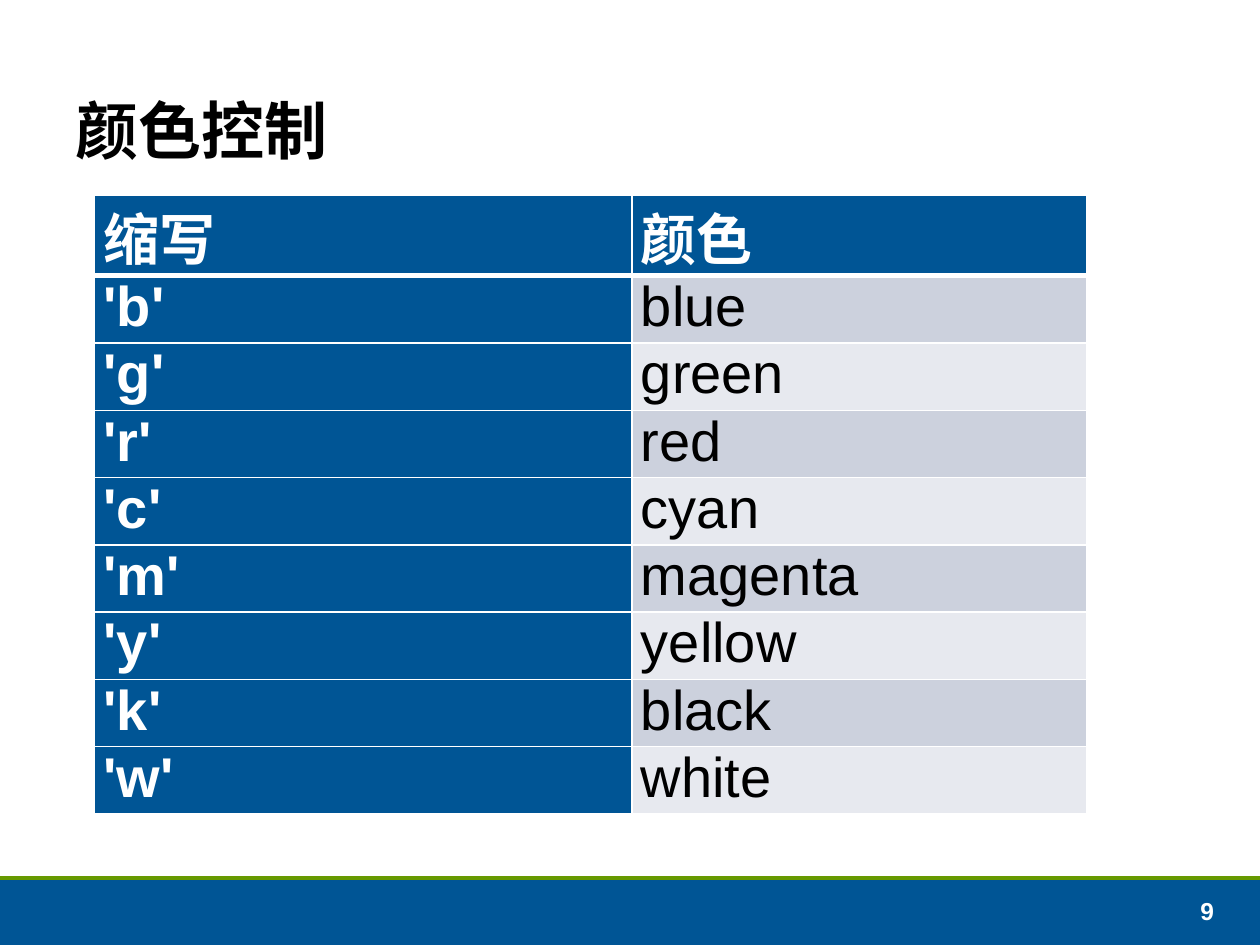
import dataclasses

import lxml.etree
import pptx
import pptx.dml.color
import pptx.enum.shapes
import pptx.enum.text
import pptx.oxml.ns
import pptx.util

Cm = pptx.util.Cm
Pt = pptx.util.Pt
qn = pptx.oxml.ns.qn

COLOR_CODES = [
    ("'b'", "blue"), ("'g'", "green"), ("'r'", "red"), ("'c'", "cyan"),
    ("'m'", "magenta"), ("'y'", "yellow"), ("'k'", "black"), ("'w'", "white"),
]


@dataclasses.dataclass(frozen=True)
class Theme:
    font: str = "Arial"
    blue: str = "005595"
    green: str = "669900"
    white: str = "FFFFFF"
    black: str = "000000"
    bands: tuple = ("CCD1DD", "E7E9EF")
    title_size: int = 36
    table_size: int = 32
    number_size: int = 14


def rgb(code):
    return pptx.dml.color.RGBColor.from_string(code)


class SlideBuilder:
    def __init__(self, slide, theme):
        self.slide = slide
        self.theme = theme

    def add_run(self, paragraph, text, size, color, bold=True):
        run = paragraph.add_run()
        run.text = text
        run.font.name = self.theme.font
        run.font.size = Pt(size)
        run.font.bold = bold
        run.font.color.rgb = rgb(color)

    def title(self, text, left, top, width, height):
        heading = self.slide.shapes.title
        heading.left, heading.top = Cm(left), Cm(top)
        heading.width, heading.height = Cm(width), Cm(height)
        frame = heading.text_frame
        frame.vertical_anchor = pptx.enum.text.MSO_ANCHOR.BOTTOM
        paragraph = frame.paragraphs[0]
        paragraph.alignment = pptx.enum.text.PP_ALIGN.LEFT
        paragraph.line_spacing = 0.95
        self.add_run(paragraph, text, self.theme.title_size, self.theme.black)

    def bar(self, left, top, width, height):
        band = self.slide.shapes.add_shape(
            pptx.enum.shapes.MSO_SHAPE.RECTANGLE,
            Cm(left), Cm(top), Cm(width), Cm(height))
        band.shadow.inherit = False
        band.fill.solid()
        band.fill.fore_color.rgb = rgb(self.theme.blue)
        band.line.fill.background()

    def rule(self, left, top, width):
        edge = self.slide.shapes.add_connector(
            pptx.enum.shapes.MSO_CONNECTOR.STRAIGHT,
            Cm(left), Cm(top), Cm(left + width), Cm(top))
        edge.line.color.rgb = rgb(self.theme.green)
        edge.line.width = Pt(2)
        lxml.etree.SubElement(edge._element.spPr, qn("a:effectLst"))

    def page_number(self, text, left, top, width, height):
        box = self.slide.shapes.add_textbox(
            Cm(left), Cm(top), Cm(width), Cm(height))
        frame = box.text_frame
        frame.word_wrap = True
        frame.vertical_anchor = pptx.enum.text.MSO_ANCHOR.BOTTOM
        self.add_run(frame.paragraphs[0], text,
                     self.theme.number_size, self.theme.white)

    def set_borders(self, cell, **widths):
        """Draw white cell borders; widths in points by side L, R, T, B."""
        properties = cell._tc.get_or_add_tcPr()
        for index, side in enumerate("LRTB"):
            border = lxml.etree.Element(
                qn(f"a:ln{side}"), w=str(Pt(widths.get(side, 1))))
            fill = lxml.etree.SubElement(border, qn("a:solidFill"))
            lxml.etree.SubElement(fill, qn("a:srgbClr"), val=self.theme.white)
            properties.insert(index, border)

    def cell(self, cell, text, fill, color, bold, **border_widths):
        cell.margin_left = cell.margin_right = Cm(0.18)
        cell.margin_top = cell.margin_bottom = 0
        cell.fill.solid()
        cell.fill.fore_color.rgb = rgb(fill)
        self.set_borders(cell, **border_widths)
        self.add_run(cell.text_frame.paragraphs[0], text,
                     self.theme.table_size, color, bold)

    def table(self, header, body, left, top, column_widths,
              header_height, row_height):
        """Table with a filled header row and first column, banded elsewhere."""
        rows = [header, *body]
        grid = self.slide.shapes.add_table(
            len(rows), len(header), Cm(left), Cm(top), Cm(sum(column_widths)),
            Cm(header_height + row_height * len(body))).table
        grid.first_col = True
        for column, width in zip(grid.columns, column_widths):
            column.width = Cm(width)
        for r, values in enumerate(rows):
            grid.rows[r].height = Cm(row_height if r else header_height)
            border_widths = {0: {"B": 3}, 1: {"T": 3}}.get(r, {})
            for c, text in enumerate(values):
                heading = r == 0 or c == 0
                fill = self.theme.blue if heading else self.theme.bands[(r - 1) % 2]
                color = self.theme.white if heading else self.theme.black
                self.cell(grid.cell(r, c), text, fill, color, heading,
                          **border_widths)


def main():
    deck = pptx.Presentation()
    deck.slide_width, deck.slide_height = Cm(25.4), Cm(19.05)
    title_only = deck.slide_layouts[5]
    builder = SlideBuilder(deck.slides.add_slide(title_only), Theme())

    footer_top = 17.7
    builder.bar(0, footer_top, 25.4, 19.05 - footer_top)
    builder.rule(0, footer_top, 25.4)
    builder.page_number("9", 23.95, 17.93, 1.35, 0.86)
    builder.title("颜色控制", 1.27, 0.43, 22.86, 3.1)
    builder.table(("缩写", "颜色"), COLOR_CODES, 1.91, 3.93,
                  (10.83, 9.17), header_height=1.63, row_height=1.35)
    deck.save("out.pptx")


if __name__ == "__main__":
    main()
